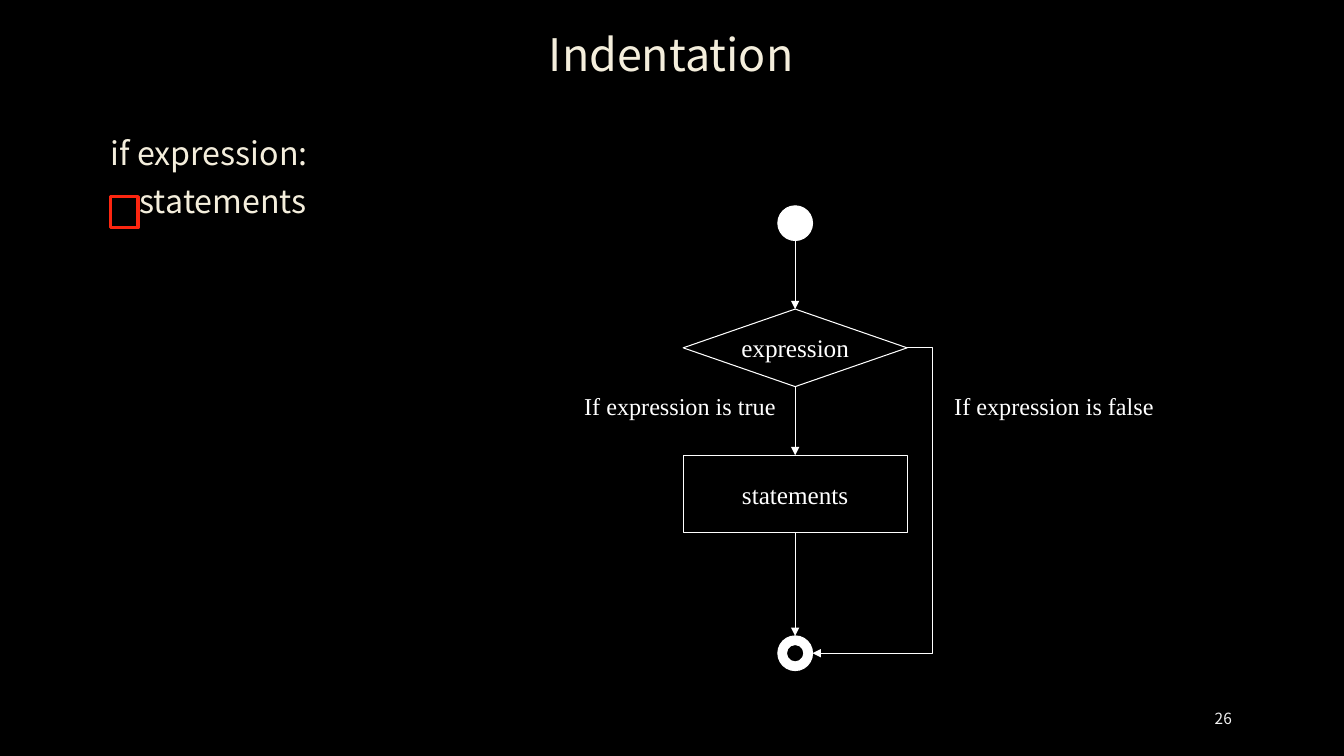
from lxml import etree
from pptx import Presentation
from pptx.dml.color import RGBColor
from pptx.enum.shapes import MSO_CONNECTOR, MSO_SHAPE
from pptx.enum.text import MSO_ANCHOR, PP_ALIGN
from pptx.oxml.ns import qn
from pptx.util import Pt

LEFT, CENTER, RIGHT = PP_ALIGN.LEFT, PP_ALIGN.CENTER, PP_ALIGN.RIGHT
TOP, MIDDLE = MSO_ANCHOR.TOP, MSO_ANCHOR.MIDDLE
STRAIGHT, ELBOW = MSO_CONNECTOR.STRAIGHT, MSO_CONNECTOR.ELBOW
DIAMOND, RECTANGLE = MSO_SHAPE.DIAMOND, MSO_SHAPE.RECTANGLE
OVAL, DONUT = MSO_SHAPE.OVAL, MSO_SHAPE.DONUT

SANS, SERIF = "Noto Sans CJK KR", "Times New Roman"
BLACK, WHITE, CREAM, GREY, RED = "000000", "FFFFFF", "F4EEDC", "F2F2F2", "FC2610"


def color(value):
    return RGBColor.from_string(value)


def write(shape, *lines, size=18, font=SERIF, ink=WHITE, align=LEFT,
          anchor=TOP, spacing=1.0, after=0, wrap=True):
    frame = shape.text_frame
    frame.word_wrap = wrap
    frame.vertical_anchor = anchor
    for index, line in enumerate(lines):
        para = frame.add_paragraph() if index else frame.paragraphs[0]
        para.alignment = align
        para.line_spacing = spacing
        para.space_before, para.space_after = Pt(0), Pt(after)
        span = para.add_run()
        span.text = line
        span.font.size, span.font.name = Pt(size), font
        span.font.color.rgb = color(ink)


def add_label(page, box, *lines, **text_format):
    label = page.shapes.add_textbox(*map(Pt, box))
    write(label, *lines, **text_format)


def add_outline(page, kind, box, line=WHITE, width=0.75, fill=None):
    shape = page.shapes.add_shape(kind, *map(Pt, box))
    shape.shadow.inherit = False
    if fill:
        shape.fill.solid()
        shape.fill.fore_color.rgb = color(fill)
    else:
        shape.fill.background()
    shape.line.color.rgb = color(line)
    shape.line.width = Pt(width)
    return shape


def add_arrow(page, start, end, kind=STRAIGHT, bend=None):
    """Arrow from start to end; bend is the elbow's place as a share of the width."""
    arrow = page.shapes.add_connector(kind, *map(Pt, start + end))
    arrow.line.color.rgb = color(WHITE)
    arrow.line.width = Pt(0.75)
    etree.SubElement(arrow.line._get_or_add_ln(), qn("a:tailEnd"), type="triangle")
    properties = arrow._element.spPr
    etree.SubElement(properties, qn("a:effectLst"))
    if bend is not None:
        geometry = properties.find(qn("a:prstGeom"))
        guides = geometry.find(qn("a:avLst"))
        if guides is None:
            guides = etree.SubElement(geometry, qn("a:avLst"))
        etree.SubElement(guides, qn("a:gd"), name="adj1",
                         fmla=f"val {round(bend * 100000)}")


def add_title(page, box):
    title = page.shapes.title
    title.left, title.top, title.width, title.height = map(Pt, box)
    write(title, "Indentation", size=32, font=SANS, ink=CREAM,
          align=CENTER, anchor=MIDDLE, spacing=0.9)


def add_code(page, box):
    left, top, _, _ = box
    add_label(page, box, "if expression:", "    statements",
              size=23, font=SANS, ink=CREAM, spacing=1.1, after=4)
    # Frame around the indent
    add_outline(page, RECTANGLE, (left + 7.2, top + 51.8, 19.4, 22.3),
                line=RED, width=2.25)


def add_flowchart(page, box):
    left, top, width, height = box
    dot, step_height, gap = 24.8, 55.4, 49
    middle, right = left + width / 2, left + width
    test_top = top + dot + gap
    test_bottom = test_top + step_height
    step_top = test_bottom + gap
    step_bottom = step_top + step_height
    end_top = top + height - dot
    detour = 18

    # Nodes
    test = add_outline(page, DIAMOND, (left, test_top, width, step_height))
    write(test, "expression", align=CENTER, anchor=MIDDLE, wrap=False)
    step = add_outline(page, RECTANGLE, (left, step_top, width, step_height))
    write(step, "statements", align=CENTER, anchor=MIDDLE)
    for kind, dot_top in ((OVAL, top), (DONUT, end_top)):
        add_outline(page, kind, (middle - dot / 2, dot_top, dot, dot), fill=WHITE)

    # Main path
    for start, end in ((top + dot, test_top), (test_bottom, step_top),
                       (step_bottom, end_top)):
        add_arrow(page, (middle, start), (middle, end))

    # Path that skips the statements
    end_right = middle + dot / 2
    add_arrow(page, (right, test_top + step_height / 2),
              (end_right, end_top + dot / 2),
              kind=ELBOW, bend=-detour / (right - end_right))

    # Branch labels
    for offset, label_width, answer in ((-77.8, 166, "true"), (186.5, 192, "false")):
        add_label(page, (left + offset, test_bottom, label_width, 28),
                  f"If expression is {answer}", size=17.3)


def main():
    deck = Presentation()
    deck.slide_width, deck.slide_height = Pt(960), Pt(540)
    page = deck.slides.add_slide(deck.slide_layouts[5])
    page.background.fill.solid()
    page.background.fill.fore_color.rgb = color(BLACK)

    add_title(page, (72, 10.8, 815, 60.5))
    add_code(page, (72, 88.6, 815, 367))
    add_flowchart(page, (488, 147, 160, 332))
    # Page number
    add_label(page, (828, 499, 59, 28.8), "26", size=11, font=SANS, ink=GREY,
              align=RIGHT, anchor=MIDDLE)
    deck.save("out.pptx")


if __name__ == "__main__":
    main()
